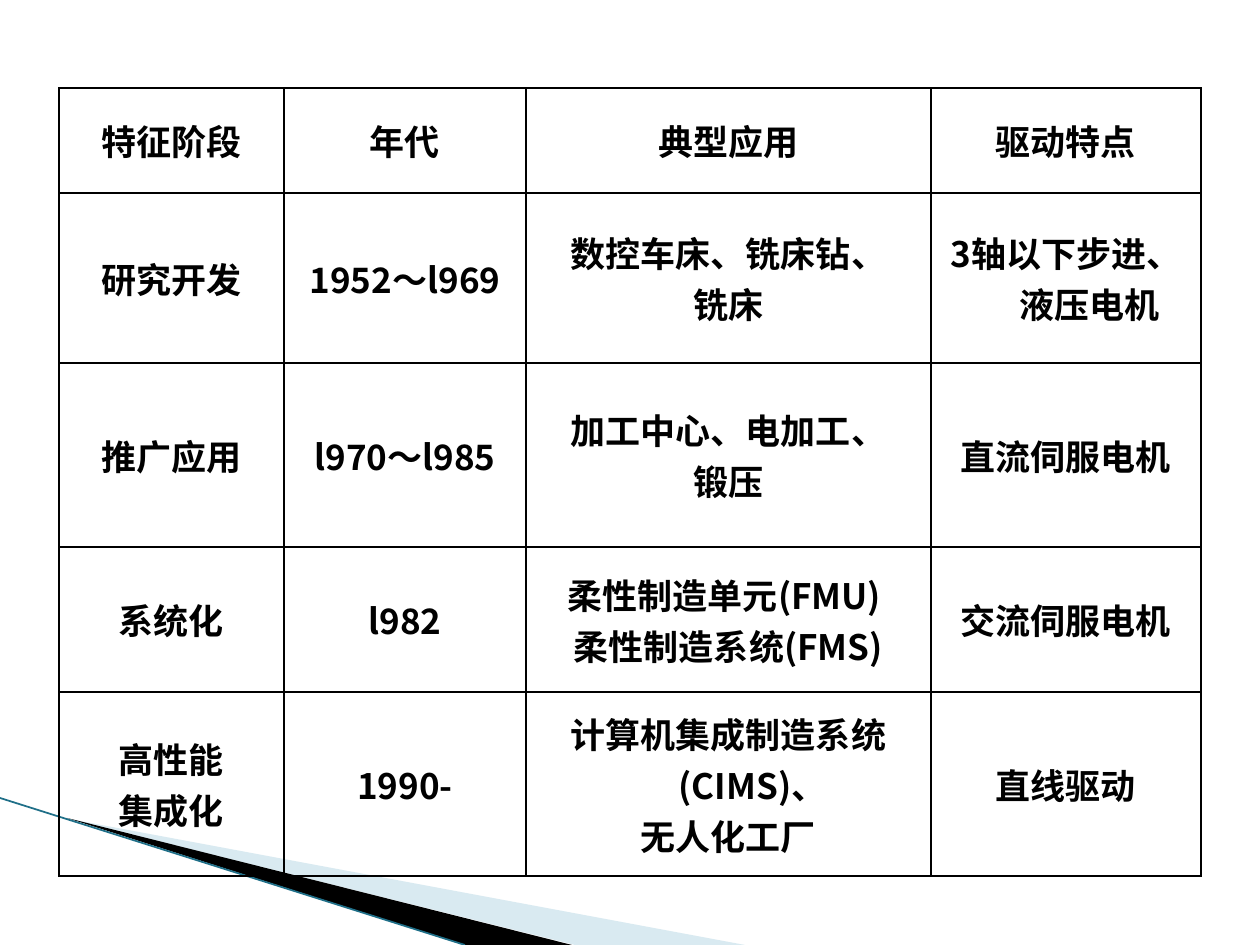
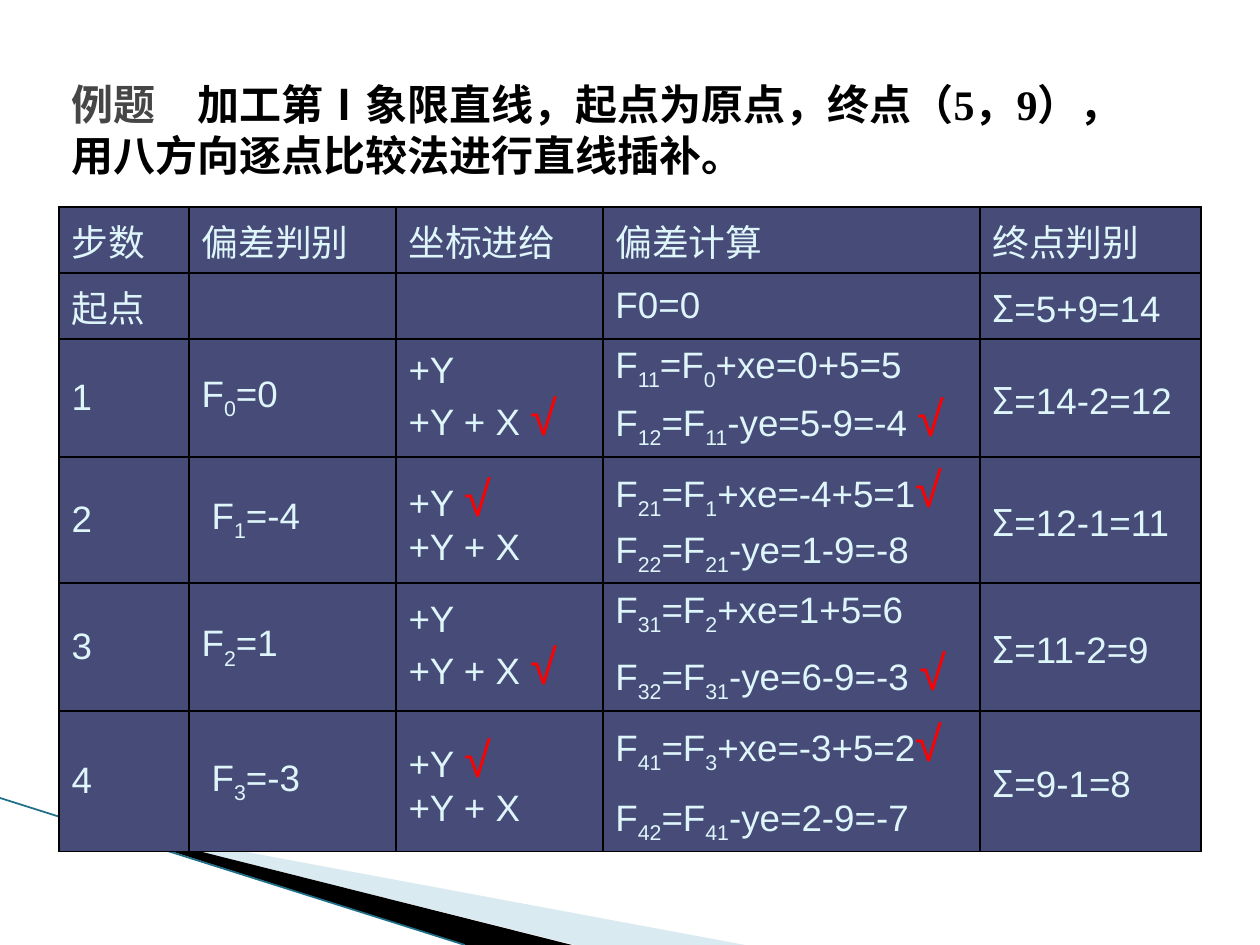
from itertools import groupby

from lxml.etree import SubElement
from pptx import Presentation
from pptx.dml.color import RGBColor
from pptx.enum.text import MSO_ANCHOR, MSO_AUTO_SIZE, PP_ALIGN
from pptx.oxml.ns import qn
from pptx.util import Emu, Pt

SCALE = 914400 / 126
SLIDE_BOX = (0, 0, 1260, 945)
CJK = "Noto Sans CJK SC"
BLACK, PALE_BLUE, TEAL = "000000", "A0CBDC", "1F6F88"
NAVY, ICE, RED, GREY = "474B78", "DEF5FA", "FF0000", "464646"
HANGING = 48

STAGE_STYLE = {"size": 20, "bold": True, "name": CJK, "color": BLACK}
STEP_STYLE = {"size": 21, "bold": False, "name": "Arial", "color": ICE}
TITLE_STYLE = {"size": 24, "bold": True, "name": "Times New Roman", "color": BLACK}
SYMBOL_STYLES = {"√": {"size": 28, "color": RED}, "Σ": {"name": CJK}, "Ⅰ": {"name": CJK}}

STAGES = [
    ["特征阶段", "年代", "典型应用", "驱动特点"],
    ["研究开发", "1952～l969", "数控车床、铣床钻、\n铣床", "3轴以下步进、液压电机"],
    ["推广应用", "l970～l985", "加工中心、电加工、\n锻压", "直流伺服电机"],
    ["系统化", "l982", "柔性制造单元(FMU) \n柔性制造系统(FMS)", "交流伺服电机"],
    ["高性能\n集成化", "1990-", "计算机集成制造系统(CIMS)、\n无人化工厂", "直线驱动"],
]
# Underscores switch subscript on and off.
STEPS = [
    ["步数", "偏差判别", "坐标进给", "偏差计算", "终点判别"],
    ["起点", "", "", "F0=0", "Σ=5+9=14"],
    ["1", "F_0_=0", "+Y\n+Y + X √",
     "F_11_=F_0_+xe=0+5=5\nF_12_=F_11_-ye=5-9=-4 √", "Σ=14-2=12"],
    ["2", " F_1_=-4", "+Y √\n+Y + X",
     "F_21_=F_1_+xe=-4+5=1√\nF_22_=F_21_-ye=1-9=-8", "Σ=12-1=11"],
    ["3", "F_2_=1", "+Y\n+Y + X √",
     "F_31_=F_2_+xe=1+5=6\nF_32_=F_31_-ye=6-9=-3 √", "Σ=11-2=9"],
    ["4", " F_3_=-3", "+Y √\n+Y + X",
     "F_41_=F_3_+xe=-3+5=2√\nF_42_=F_41_-ye=2-9=-7", "Σ=9-1=8"],
]
FORMULA_GAPS = {(3, 3): 5, (4, 3): 5, (5, 3): 13}


def px(length):
    return Emu(round(length * SCALE))


def rgb(color):
    return RGBColor.from_string(color)


def add_run(paragraph, text, style, subscript=False):
    run = paragraph.add_run()
    run.text = text
    run.font.color.rgb = rgb(style["color"])
    for key, value in {**style, "size": Pt(style["size"])}.items():
        if key != "color":
            setattr(run.font, key, value)
    properties = run._r.get_or_add_rPr()
    SubElement(properties, qn("a:ea"), typeface=CJK)
    if subscript:
        properties.set("baseline", "-25000")


def add_marked_text(paragraph, text, style):
    """Write text with subscripts between underscores and styled symbols."""
    for index, part in enumerate(text.split("_")):
        for symbol, letters in groupby(part, lambda c: c if c in SYMBOL_STYLES else ""):
            add_run(paragraph, "".join(letters),
                    {**style, **SYMBOL_STYLES.get(symbol, {})}, index % 2 == 1)


def set_borders(cell):
    properties = cell._tc.get_or_add_tcPr()
    for side in ("lnL", "lnR", "lnT", "lnB"):
        border = SubElement(properties, qn(f"a:{side}"), w=str(Pt(1)))
        SubElement(SubElement(border, qn("a:solidFill")), qn("a:srgbClr"), val=BLACK)


def fill_cell(cell, text, style, align, fill, gap):
    set_borders(cell)
    if fill:
        cell.fill.solid()
        cell.fill.fore_color.rgb = rgb(fill)
    else:
        cell.fill.background()
    cell.vertical_anchor = MSO_ANCHOR.MIDDLE
    frame = cell.text_frame
    for index, line in enumerate(text.split("\n")):
        paragraph = frame.add_paragraph() if index else frame.paragraphs[0]
        paragraph.alignment = align
        paragraph.space_before = Pt(gap if index else 0)
        properties = paragraph._p.get_or_add_pPr()
        properties.set("marL", str(px(HANGING)))
        properties.set("indent", str(px(-HANGING)))
        if line:
            add_marked_text(paragraph, line, style)


def add_grid(slide, corner, widths, heights, rows, style, align, fill=None, gaps=None):
    box = (*corner, sum(widths), sum(heights))
    table = slide.shapes.add_table(len(rows), len(widths), *map(px, box)).table
    table.first_row = table.horz_banding = False
    for column, width in zip(table.columns, widths):
        column.width = px(width)
    for row, height in zip(table.rows, heights):
        row.height = px(height)
    for r, texts in enumerate(rows):
        for c, text in enumerate(texts):
            gap = (gaps or {}).get((r, c), 0)
            fill_cell(table.cell(r, c), text, style, align, fill, gap)


def add_wedge(slide, points, color, alpha=None):
    builder = slide.shapes.build_freeform(*points[0], scale=SCALE)
    builder.add_line_segments(points[1:], close=True)
    wedge = builder.convert_to_shape()
    wedge.shadow.inherit = False
    wedge.line.fill.background()
    wedge.fill.solid()
    wedge.fill.fore_color.rgb = rgb(color)
    if alpha:
        tint = wedge.fill._xPr.find(f".//{qn('a:srgbClr')}")
        SubElement(tint, qn("a:alpha"), val=str(alpha * 1000))


def add_corner_sweep(slide, box):
    """Draw the pale wedge, black wedge and thin rule in the lower left corner."""
    left, top, _, height = box
    bottom = top + height
    add_wedge(slide, [(left + 69, bottom - 126), (left + 745, bottom), (left + 575, bottom)],
              PALE_BLUE, 40)
    add_wedge(slide, [(left + 67, bottom - 127), (left + 572, bottom), (left + 465, bottom)],
              BLACK)
    rule = slide.shapes.add_connector(
        1, px(left), px(bottom - 147), px(left + 465), px(bottom))
    rule.line.color.rgb = rgb(TEAL)
    rule.line.width = Pt(1)
    SubElement(rule._element.spPr, qn("a:effectLst"))


def place_title(slide, box, lead, statement):
    title = slide.shapes.title
    for key, length in zip(("left", "top", "width", "height"), box):
        setattr(title, key, px(length))
    frame = title.text_frame
    settings = {"word_wrap": True, "auto_size": MSO_AUTO_SIZE.NONE,
                "vertical_anchor": MSO_ANCHOR.TOP}
    for key, value in settings.items():
        setattr(frame, key, value)
    paragraph = frame.paragraphs[0]
    paragraph.alignment = PP_ALIGN.LEFT
    paragraph.line_spacing = Pt(29)
    add_run(paragraph, lead, {**TITLE_STYLE, "color": GREY})
    add_marked_text(paragraph, statement, TITLE_STYLE)


def build_stages_slide(deck):
    slide = deck.slides.add_slide(deck.slide_layouts[6])
    add_corner_sweep(slide, SLIDE_BOX)
    add_grid(slide, (59, 88), [225, 242, 405, 270], [105, 170, 184, 145, 184],
             STAGES, STAGE_STYLE, PP_ALIGN.CENTER)


def build_example_slide(deck):
    slide = deck.slides.add_slide(deck.slide_layouts[5])
    add_corner_sweep(slide, SLIDE_BOX)
    add_grid(slide, (59, 207), [130, 207, 207, 377, 221], [66, 66, 118, 125, 128, 138],
             STEPS, STEP_STYLE, PP_ALIGN.LEFT, NAVY, FORMULA_GAPS)
    place_title(slide, (59, 72, 1074, 115), "例题　",
                "加工第Ⅰ象限直线，起点为原点，终点（5，9），用八方向逐点比较法进行直线插补。")


def main():
    deck = Presentation()
    deck.slide_width, deck.slide_height = map(px, SLIDE_BOX[2:])
    build_stages_slide(deck)
    build_example_slide(deck)
    deck.save("out.pptx")


if __name__ == "__main__":
    main()
